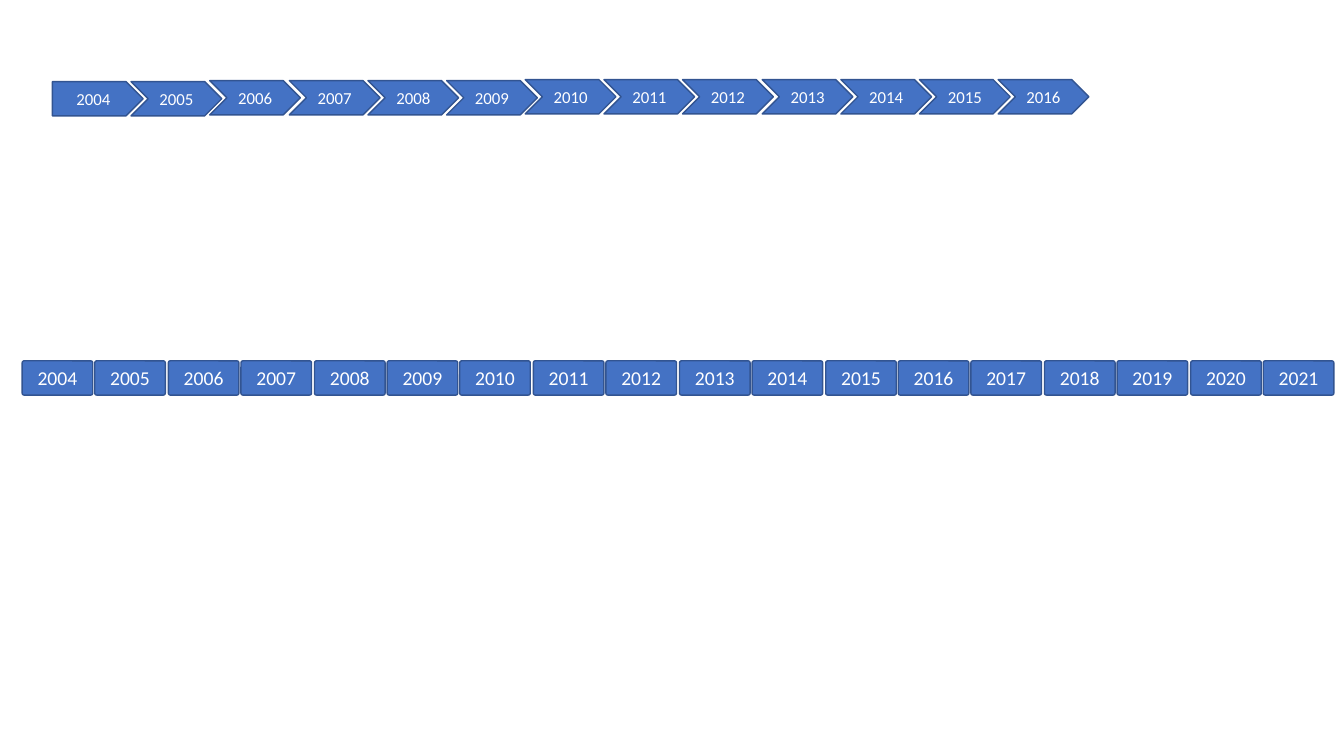
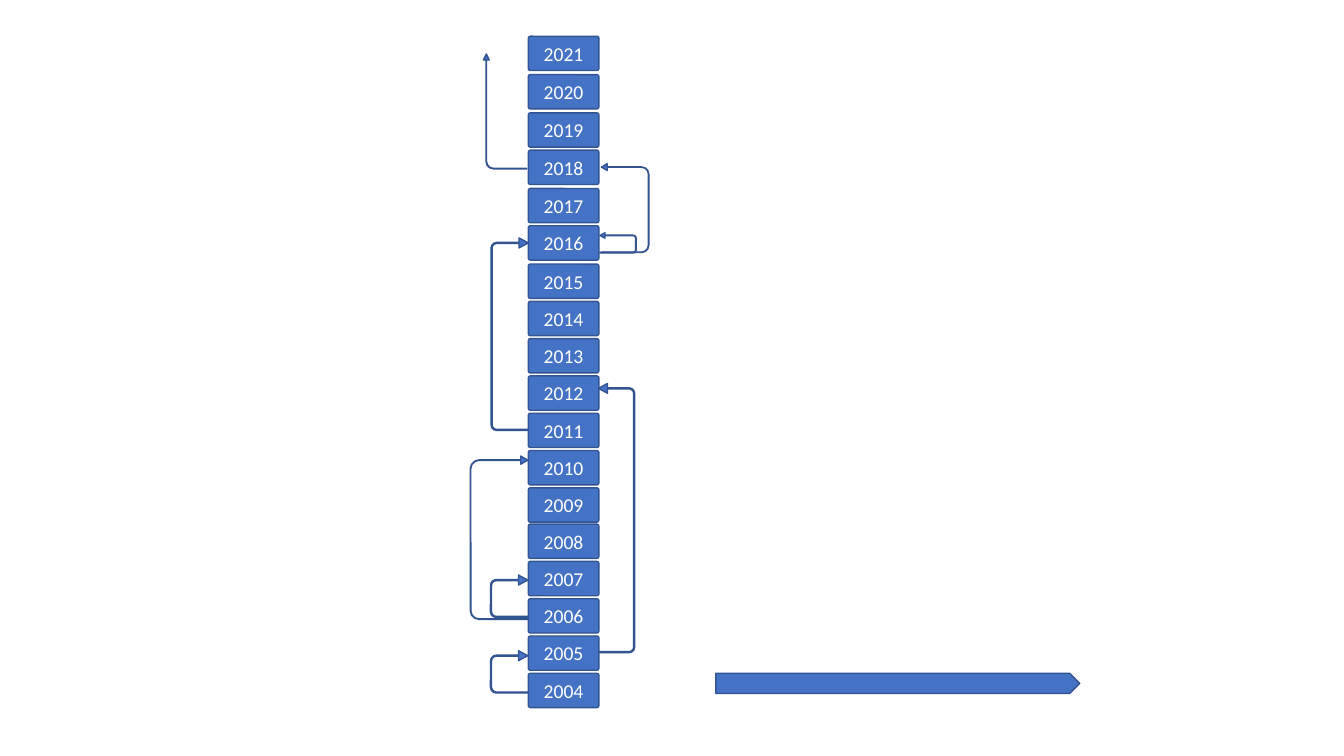
import pptx
import pptx.util
import pptx.dml.color
import pptx.enum.shapes
import pptx.enum.text

KIND = pptx.enum.shapes.MSO_SHAPE
BLUE, EDGE, WHITE = "4472C4", "325491", "FFFFFF"
FONT = "Calibri"
YEARS = range(2004, 2022)
BOX = (70, 34)
THICK = (0.029, 0.134, 0.25, 0.154, 1)
THIN = (0.009, 0.07, 0.122, 0.154, 1)
BENT = (0.012, 0.067, 0.14, 0.172)

# kind, left, top, width, height before the turn, mirrored, adjustments
ARROWS = [
    (KIND.U_TURN_ARROW, 484, 648, 42, 37, False, THICK),
    (KIND.U_TURN_ARROW, 484, 573, 42, 37, False, THICK),
    (KIND.U_TURN_ARROW, 414, 505, 162, 57, False, THIN),
    (KIND.U_TURN_ARROW, 478, 496, 267, 36, True, THICK),
    (KIND.U_TURN_ARROW, 410, 313, 191, 37, False, THICK),
    (KIND.U_TURN_ARROW, 603, 223, 20, 36, True, THICK),
    (KIND.U_TURN_ARROW, 576, 183, 88, 47, True, THIN),
    (KIND.BENT_ARROW, 444, 89, 114, 43, False, BENT),
]


def px(count):
    """Turn px, 100 to the inch, into EMU."""
    return pptx.util.Emu(count * 9144)


def paint(color):
    return pptx.dml.color.RGBColor.from_string(color)


def shape(slide, kind, left, top, width, height, adjust=()):
    item = slide.shapes.add_shape(kind, px(left), px(top), px(width), px(height))
    item.shadow.inherit = False
    item.fill.solid()
    item.fill.fore_color.rgb = paint(BLUE)
    item.line.color.rgb = paint(EDGE)
    item.line.width = pptx.util.Pt(1)
    for index, value in enumerate(adjust):
        item.adjustments[index] = value
    return item


def label(item, text, size):
    frame = item.text_frame
    frame.text = str(text)
    frame.vertical_anchor = pptx.enum.text.MSO_ANCHOR.MIDDLE
    line = frame.paragraphs[0]
    line.alignment = pptx.enum.text.PP_ALIGN.CENTER
    font = line.runs[0].font
    font.name = FONT
    font.size = pptx.util.Pt(size)
    font.color.rgb = paint(WHITE)


def box(slide, year, left, top):
    label(shape(slide, KIND.ROUNDED_RECTANGLE, left, top, *BOX, (0.06,)), year, 14)


def arrow(slide, kind, left, top, width, height, mirror, adjust):
    item = shape(slide, kind, left, top, width, height, adjust)
    item.rotation = 270
    if mirror:
        item.element.spPr.xfrm.set("flipV", "1")


def chain(slide):
    """Draw the slightly rising row of chevrons."""
    for step, year in enumerate(YEARS[:13]):
        kind = KIND.CHEVRON if step else KIND.PENTAGON
        top = max(79, 81 - (step + 2) // 4)
        label(shape(slide, kind, round(52 + 78.17 * step), top, 90, 34), year, 12)


def row(slide):
    for step, year in enumerate(YEARS):
        box(slide, year, round(22 + 72.41 * step), 358)


def column(slide):
    """Stack the years upwards, a little wider apart after 2015."""
    for step, year in enumerate(YEARS):
        top = 668 - 36.9 * step - 0.75 * max(0, step - 11)
        box(slide, year, 524, round(top))


def main():
    deck = pptx.Presentation()
    deck.slide_width, deck.slide_height = px(1333), px(750)
    blank = deck.slide_layouts[6]

    first = deck.slides.add_slide(blank)
    chain(first)
    row(first)

    second = deck.slides.add_slide(blank)
    column(second)
    for entry in ARROWS:
        arrow(second, *entry)
    shape(second, KIND.PENTAGON, 710, 668, 361, 20)

    deck.save("out.pptx")


if __name__ == "__main__":
    main()
